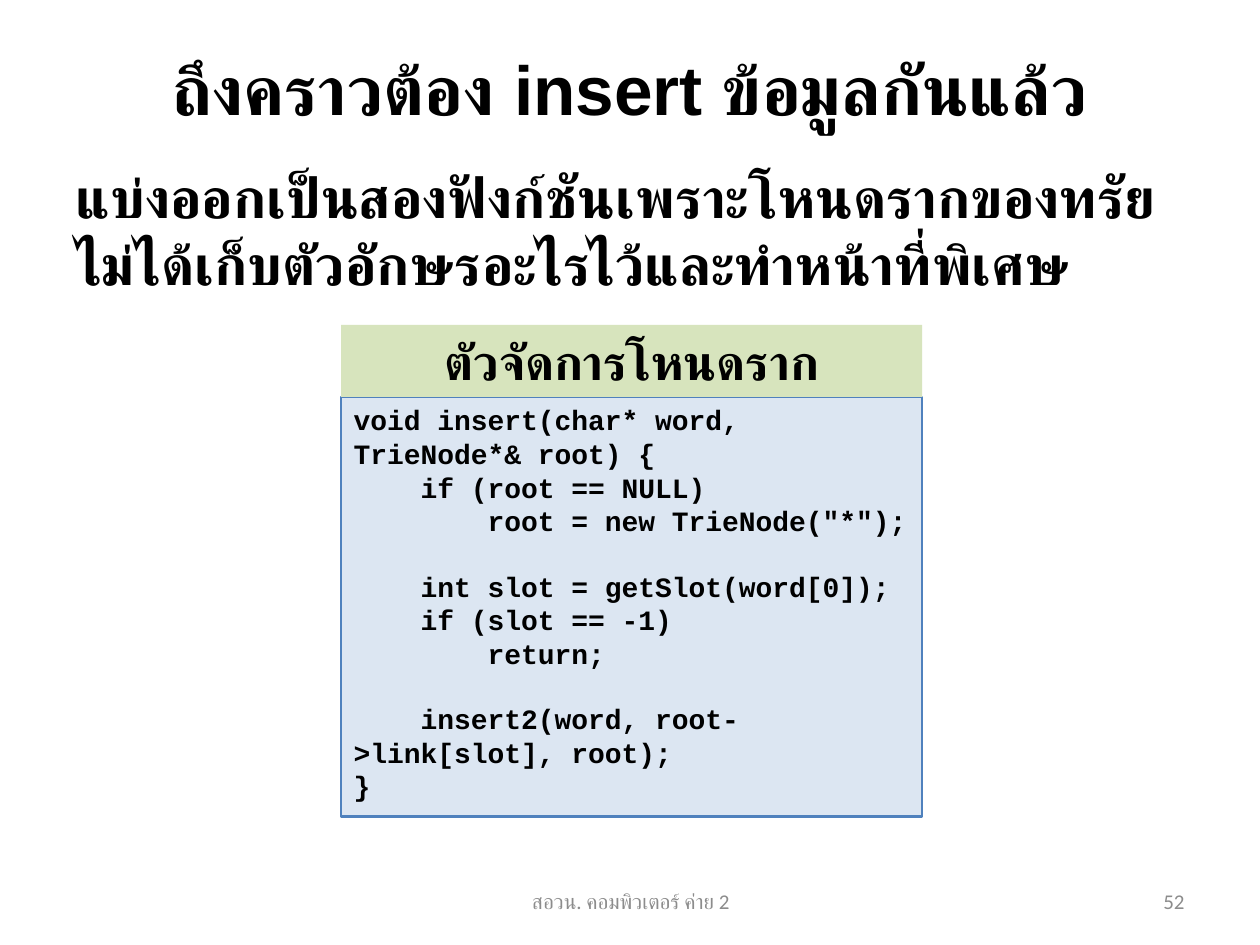
from dataclasses import dataclass
from typing import Optional

from lxml import etree
from pptx import Presentation
from pptx import util as u
from pptx.dml.color import RGBColor
from pptx.enum import shapes, text
from pptx.oxml import ns

BLACK = RGBColor(0x00, 0x00, 0x00)
GREY = RGBColor(0x8C, 0x8C, 0x8C)
PALE_BLUE = RGBColor(0xDC, 0xE6, 0xF2)
BLUE = RGBColor(0x4F, 0x81, 0xBD)
PALE_GREEN = RGBColor(0xD7, 0xE4, 0xBD)

LEFT, CENTER, RIGHT = text.PP_ALIGN.LEFT, text.PP_ALIGN.CENTER, text.PP_ALIGN.RIGHT
TOP, MIDDLE = text.MSO_ANCHOR.TOP, text.MSO_ANCHOR.MIDDLE

PANEL_LEFT, PANEL_WIDTH = 6.88, 11.71
HEADER_TOP, HEADER_HEIGHT = 6.55, 1.45
FOOTER_TOP, FOOTER_HEIGHT = 17.65, 1.02
CODE_LINE_PT = 18.13

CODE = """void insert(char* word, TrieNode*& root) {
    if (root == NULL)
        root = new TrieNode("*");

    int slot = getSlot(word[0]);
    if (slot == -1)
        return;

    insert2(word, root->link[slot], root);
}"""


@dataclass(frozen=True)
class Block:
    """A text block; position and size are in centimetres."""
    words: str
    left: float
    top: float
    width: float
    height: float
    size: float
    font: str
    color: RGBColor = BLACK
    bold: bool = True
    align: text.PP_ALIGN = LEFT
    anchor: text.MSO_ANCHOR = TOP
    fill: Optional[RGBColor] = None
    line: Optional[RGBColor] = None


BLOCKS = [
    Block("ถึงคราวต้อง insert ข้อมูลกันแล้ว", 1.27, 0.79, 22.86, 1.98,
          39.6, "Arial", align=CENTER, anchor=MIDDLE),
    Block("แบ่งออกเป็นสองฟังก์ชันเพราะโหนดรากของทรัยไม่ได้เก็บตัวอักษรอะไรไว้และทำหน้าที่พิเศษ",
          1.27, 3.15, 22.43, 15.11, 32, "Arial"),
    Block(CODE, PANEL_LEFT, HEADER_TOP + HEADER_HEIGHT, PANEL_WIDTH, 8.46,
          16, "Courier New", fill=PALE_BLUE, line=BLUE),
    Block("ตัวจัดการโหนดราก", PANEL_LEFT, HEADER_TOP, PANEL_WIDTH, HEADER_HEIGHT,
          28, "Courier New", align=CENTER, fill=PALE_GREEN),
    Block("สอวน. คอมพิวเตอร์ ค่าย 2", 8.69, FOOTER_TOP, 8.05, FOOTER_HEIGHT,
          12, "Calibri", GREY, False, CENTER, MIDDLE),
    Block("52", 18.21, FOOTER_TOP, 5.92, FOOTER_HEIGHT,
          12, "Calibri", GREY, False, RIGHT, MIDDLE),
]


def add_box(page, block: Block):
    place = [u.Cm(n) for n in (block.left, block.top, block.width, block.height)]
    if block.fill is None:
        return page.shapes.add_textbox(*place)
    box = page.shapes.add_shape(shapes.MSO_SHAPE.RECTANGLE, *place)
    box.shadow.inherit = False
    box.fill.solid()
    box.fill.fore_color.rgb = block.fill
    if block.line is None:
        box.line.fill.background()
    else:
        box.line.color.rgb = block.line
        box.line.width = u.Pt(1.25)
    return box


def format_span(span, block: Block) -> None:
    """Set the font for both Latin and Thai letters."""
    span.font.name = block.font
    span.font.size = u.Pt(block.size)
    span.font.bold = block.bold
    span.font.color.rgb = block.color
    properties = span.font._element
    etree.SubElement(properties, ns.qn("a:cs"), typeface=block.font)


def draw_block(page, block: Block) -> None:
    """Draw a block; an empty line in its words becomes space before the next one."""
    frame = add_box(page, block).text_frame
    frame.word_wrap = True
    frame.vertical_anchor = block.anchor
    groups = block.words.split("\n\n")
    frame.text = "\n".join(groups)
    starts, count = set(), 0
    for group in groups:
        starts.add(count)
        count += len(group.split("\n"))
    for number, para in enumerate(frame.paragraphs):
        para.alignment = block.align
        if number and number in starts:
            para.space_before = u.Pt(CODE_LINE_PT)
        for span in para.runs:
            format_span(span, block)


def main() -> None:
    deck = Presentation()
    deck.slide_width, deck.slide_height = u.Cm(25.4), u.Cm(19.05)
    page = deck.slides.add_slide(deck.slide_layouts[6])
    for block in BLOCKS:
        draw_block(page, block)
    deck.save("out.pptx")


if __name__ == "__main__":
    main()
